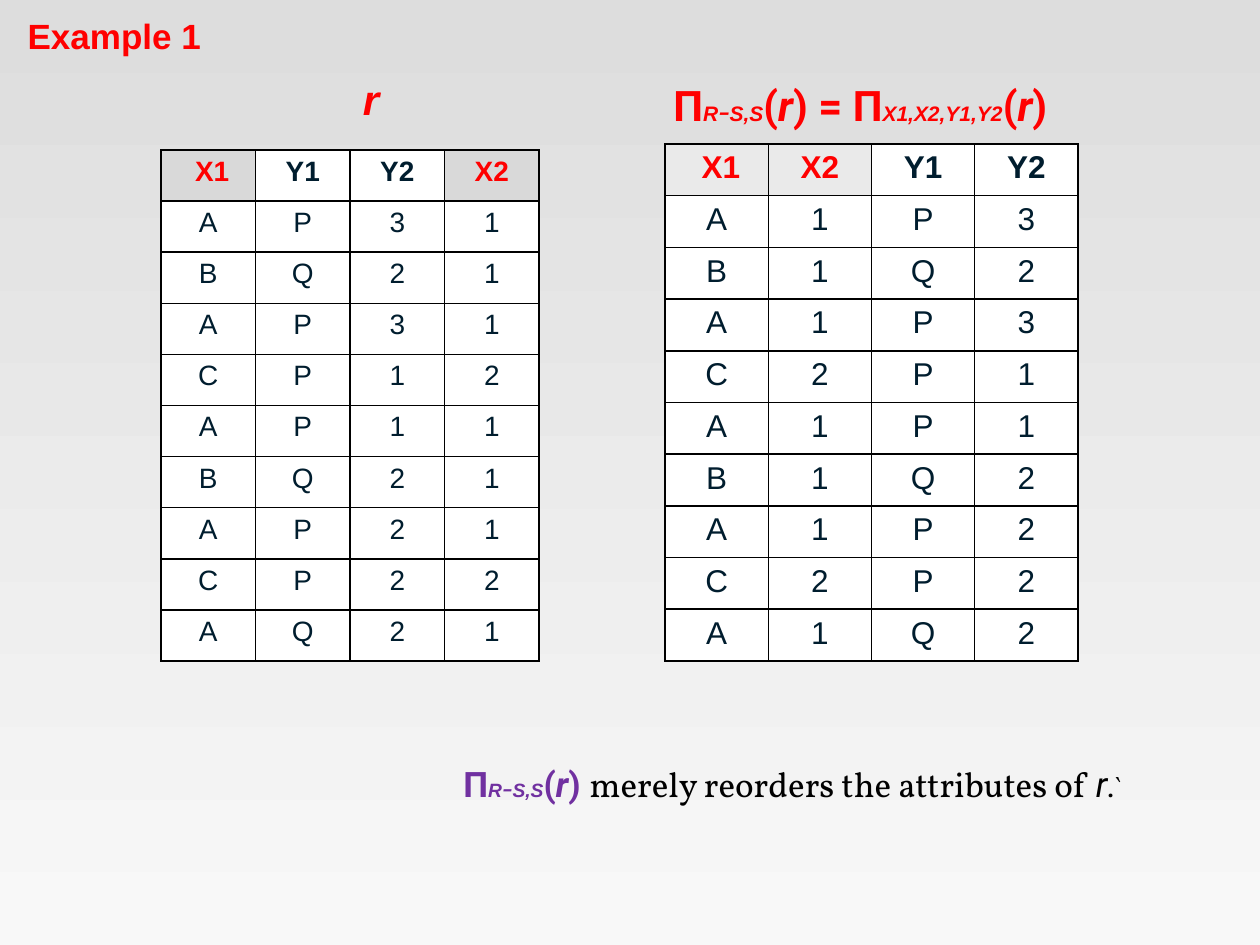
from lxml import etree
from pptx import Presentation
from pptx.dml.color import RGBColor
from pptx.enum.text import MSO_ANCHOR, MSO_AUTO_SIZE, PP_ALIGN
from pptx.oxml.ns import qn
from pptx.util import Emu, Pt

LEFT, CENTER = PP_ALIGN.LEFT, PP_ALIGN.CENTER
TOP, MIDDLE = MSO_ANCHOR.TOP, MSO_ANCHOR.MIDDLE
NO_AUTO_SIZE = MSO_AUTO_SIZE.NONE
EMU_PER_PX = 914400 / 126
RED, NAVY, PURPLE, BLACK, WHITE = "FF0000", "001D2E", "7030A0", "000000", "FFFFFF"
BACKGROUND = ("DDDDDD", "F8F8F8")
BORDER_SIDES = ("a:lnL", "a:lnR", "a:lnT", "a:lnB")

HEADER = (" X1", "Y1", "Y2", "X2")
RECORDS = ("AP31", "BQ21", "AP31", "CP12", "AP11", "BQ21", "AP21", "CP22", "AQ21")
RELATION = [HEADER, *RECORDS]
PROJECTION_ORDER = (0, 3, 1, 2)
PROJECTION = [[row[index] for index in PROJECTION_ORDER] for row in RELATION]

TABLES = [
    (RELATION, (161, 150, 378, 511), 16, "D9D9D9"),
    (PROJECTION, (665, 144, 413, 517), 18, "EAEAEA"),
]


def applied_to_r(subscript_runs, size, color):
    """Return the runs of a projection of r as (text, font, size, color, bold, italic)."""
    return [
        ("Π", "Roboto", size, color, True, False),
        *[(text, font, subscript_size, color, True, True)
          for text, font, subscript_size in subscript_runs],
        ("(", "Roboto", size, color, True, False),
        ("r", "Roboto", size, color, True, True),
        (")", "Roboto", size, color, True, False),
    ]


def schema_difference(size):
    """Return the subscript R−S,S at the given size."""
    return [("R", "Arial", size), ("−", "Roboto", size), ("S,S", "Arial", size)]


TITLE_RUNS = [("Example 1", "Arial", 20, RED, True, False)]
TITLE_BOX = (15, 8, 200, 55)

TEXTS = [
    ((350, 67, 42, 64), CENTER, MIDDLE, False,
     [("r", "Arial", 24, RED, True, True)]),
    ((661, 73, 483, 63), LEFT, TOP, True,
     applied_to_r(schema_difference(12), 24, RED)
     + [(" = ", "Roboto", 24, RED, True, False)]
     + applied_to_r([("X1,X2,Y1,Y2", "Arial", 12)], 24, RED)),
    ((451, 756, 693, 55), LEFT, TOP, False,
     applied_to_r(schema_difference(11), 20, PURPLE)
     + [(" ", "Roboto", 20, PURPLE, True, False),
        ("merely reorders the attributes of ", "Vollkorn", 20, BLACK, False, False),
        ("r", "Roboto", 20, BLACK, False, True),
        (".`", "Vollkorn", 16, BLACK, False, False)]),
]


def px(value):
    """Turn pixels into EMU."""
    return Emu(round(value * EMU_PER_PX))


def rgb(value):
    """Turn a hex string into a colour."""
    return RGBColor.from_string(value)


def write(text_frame, runs, alignment):
    """Write formatted runs into the first paragraph."""
    paragraph = text_frame.paragraphs[0]
    paragraph.alignment = alignment
    for text, font, size, color, bold, italic in runs:
        run = paragraph.add_run()
        run.text = text
        run.font.name = font
        run.font.size = Pt(size)
        run.font.bold = bold
        run.font.italic = italic
        run.font.color.rgb = rgb(color)


def set_frame(text_frame, anchor, wrap):
    """Fix the anchor, wrapping and size of a text frame."""
    text_frame.auto_size = NO_AUTO_SIZE
    text_frame.vertical_anchor = anchor
    text_frame.word_wrap = wrap


def add_borders(cell):
    """Draw a black one-point line on each side of a cell."""
    properties = cell._tc.get_or_add_tcPr()
    for index, side in enumerate(BORDER_SIDES):
        line = etree.Element(qn(side), w=str(Pt(1)))
        fill = etree.SubElement(line, qn("a:solidFill"))
        etree.SubElement(fill, qn("a:srgbClr"), val=BLACK)
        properties.insert(index, line)


def add_relation(slide, rows, box, size, key_fill):
    """Add a table whose X columns have a marked header."""
    left, top, width, height = box
    table = slide.shapes.add_table(
        len(rows), len(rows[0]), *map(px, box)).table
    for column in table.columns:
        column.width = px(width / len(rows[0]))
    for row in table.rows:
        row.height = px(height / len(rows))
    for row_index, row in enumerate(rows):
        for column_index, text in enumerate(row):
            is_key = "X" in text
            cell = table.cell(row_index, column_index)
            cell.fill.solid()
            cell.fill.fore_color.rgb = rgb(key_fill if is_key else WHITE)
            color = RED if is_key else NAVY
            write(cell.text_frame,
                  [(text, "Arial", size, color, row_index == 0, False)], CENTER)
            add_borders(cell)


def main():
    """Build the slide and save it."""
    presentation = Presentation()
    presentation.slide_width, presentation.slide_height = px(1260), px(945)
    slide = presentation.slides.add_slide(presentation.slide_layouts[5])

    background = slide.background.fill
    background.gradient()
    background.gradient_angle = 270
    for stop, color in zip(background.gradient_stops, BACKGROUND):
        stop.color.rgb = rgb(color)

    title = slide.shapes.title
    title.left, title.top, title.width, title.height = map(px, TITLE_BOX)
    set_frame(title.text_frame, TOP, False)
    write(title.text_frame, TITLE_RUNS, LEFT)

    for rows, box, size, key_fill in TABLES:
        add_relation(slide, rows, box, size, key_fill)
    for box, alignment, anchor, wrap, runs in TEXTS:
        text_frame = slide.shapes.add_textbox(*map(px, box)).text_frame
        set_frame(text_frame, anchor, wrap)
        write(text_frame, runs, alignment)

    presentation.save("out.pptx")


if __name__ == "__main__":
    main()
